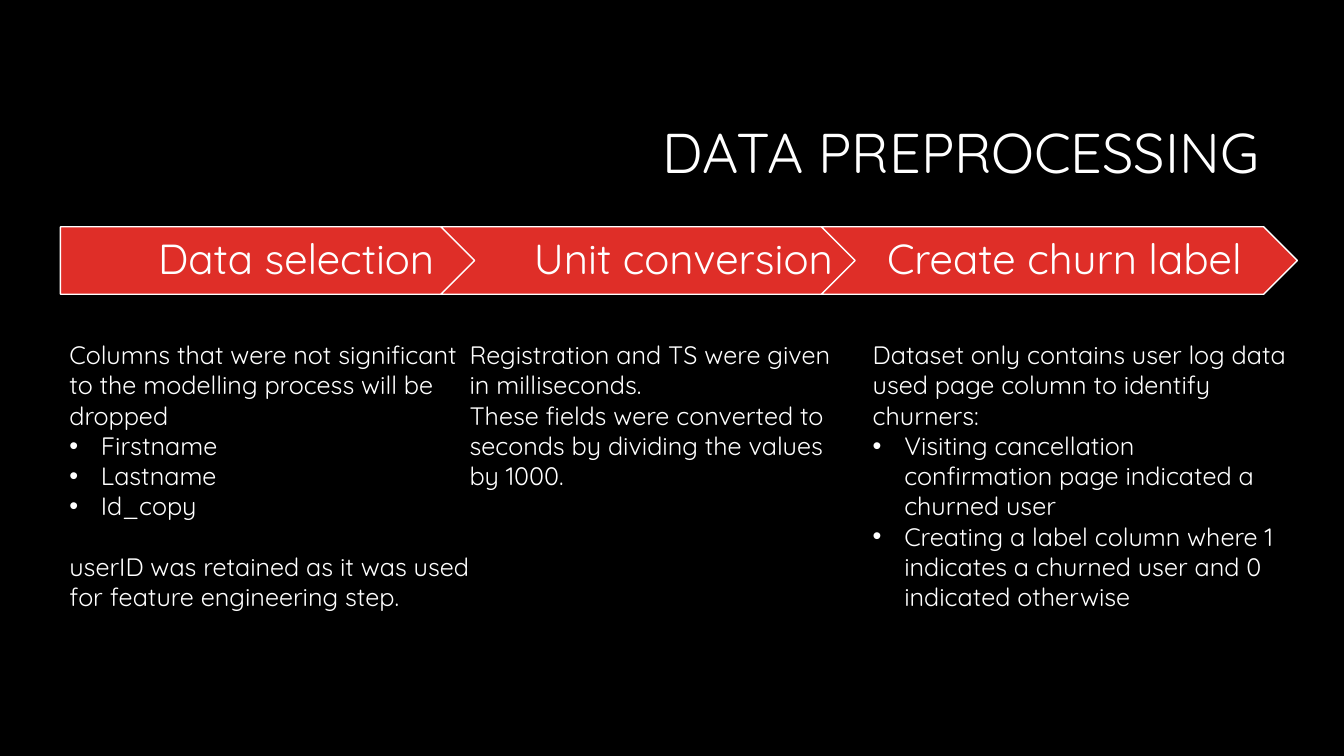
from dataclasses import dataclass

from pptx import Presentation
from pptx.dml.color import RGBColor
from pptx.enum import shapes, text
from pptx.oxml.ns import qn
from pptx.util import Pt
from lxml import etree

COLORS = {"background": "000000", "step": "DF2E28", "ink": "FFFFFF"}
FONT = "Quicksand"
BULLET_INDENT = 22.5
BLANK_LINE = 21.6

# Process arrows: equal widths at an equal pitch
ARROW_LEFT, ARROW_TOP, ARROW_PITCH = 43.2, 162, 271.8
ARROW_WIDTH, ARROW_HEIGHT = 340, 48.2


@dataclass
class Line:
    words: str
    bullet: bool = False
    space_before: float = 0


@dataclass
class Step:
    name: str
    name_left: float
    name_width: float
    name_inset: float
    detail_left: float
    detail_width: float
    detail_height: float
    details: list[Line]
    arrow: int = shapes.MSO_SHAPE.CHEVRON


STEPS = [
    Step("Data selection", 43.2, 327.6, 12.2, 42.5, 304.6, 225.4, [
        Line("Columns that were not significant to the modelling process will be dropped"),
        Line("Firstname", bullet=True),
        Line("Lastname", bullet=True),
        Line("Id_copy", bullet=True),
        Line("userID was retained as it was used for feature engineering step.",
             space_before=BLANK_LINE),
    ], shapes.MSO_SHAPE.PENTAGON),
    Step("Unit conversion", 339.1, 291.6, 9.4, 328.3, 288, 116.6, [
        Line("Registration and TS were given in milliseconds."),
        Line("These fields were converted to seconds by dividing the values by 1000."),
    ]),
    Step("Create churn label", 611.3, 291.6, 9.4, 616.3, 311, 203.8, [
        Line("Dataset only contains user log data used page column to identify churners:"),
        Line("Visiting cancellation confirmation page indicated a churned user", bullet=True),
        Line("Creating a label column where 1 indicates a churned user and 0 indicated otherwise",
             bullet=True),
    ]),
]


def color(name: str) -> RGBColor:
    return RGBColor.from_string(COLORS[name])


def add_text(slide, left: float, top: float, width: float, height: float,
             lines: list[Line], size: float, align=text.PP_ALIGN.LEFT,
             anchor=text.MSO_ANCHOR.TOP, spacing: float = 1.0):
    frame = slide.shapes.add_textbox(Pt(left), Pt(top), Pt(width), Pt(height)).text_frame
    frame.word_wrap = True
    frame.vertical_anchor = anchor
    frame.text = "\n".join(line.words for line in lines)
    for paragraph, line in zip(frame.paragraphs, lines):
        paragraph.alignment = align
        paragraph.line_spacing = spacing
        paragraph.space_before = Pt(line.space_before)
        if line.bullet:
            add_bullet(paragraph)
        for run in paragraph.runs:
            run.font.name = FONT
            run.font.size = Pt(size)
            run.font.color.rgb = color("ink")
    return frame


def add_bullet(paragraph) -> None:
    properties = paragraph._p.get_or_add_pPr()
    properties.set("marL", str(Pt(BULLET_INDENT)))
    properties.set("indent", str(-Pt(BULLET_INDENT)))
    etree.SubElement(properties, qn("a:buFont")).set("typeface", "Arial")
    etree.SubElement(properties, qn("a:buChar")).set("char", "•")


def add_step(slide, index: int, step: Step) -> None:
    # Arrow
    arrow = slide.shapes.add_shape(
        step.arrow, Pt(ARROW_LEFT + index * ARROW_PITCH), Pt(ARROW_TOP),
        Pt(ARROW_WIDTH), Pt(ARROW_HEIGHT))
    arrow.shadow.inherit = False
    arrow.fill.solid()
    arrow.fill.fore_color.rgb = color("step")
    arrow.line.color.rgb = color("ink")
    arrow.line.width = Pt(1)

    # Step name on the arrow
    name = add_text(slide, step.name_left, ARROW_TOP, step.name_width, ARROW_HEIGHT,
                    [Line(step.name)], 30, text.PP_ALIGN.CENTER,
                    text.MSO_ANCHOR.MIDDLE, 0.9)
    name.margin_left, name.margin_right = Pt(step.name_inset), Pt(2.9)
    name.margin_top = name.margin_bottom = Pt(6.5)

    # Details under the arrow
    add_text(slide, step.detail_left, 239, step.detail_width, step.detail_height,
             step.details, 18)


def main() -> None:
    deck = Presentation()
    deck.slide_width, deck.slide_height = Pt(960), Pt(540)
    slide = deck.slides.add_slide(deck.slide_layouts[6])
    slide.background.fill.solid()
    slide.background.fill.fore_color.rgb = color("background")

    # Title
    add_text(slide, 228.2, 60.5, 678.2, 101.5, [Line("DATA PREPROCESSING")], 40,
             text.PP_ALIGN.RIGHT, text.MSO_ANCHOR.MIDDLE, 0.9)

    # Process steps
    for index, step in enumerate(STEPS):
        add_step(slide, index, step)

    deck.save("out.pptx")


if __name__ == "__main__":
    main()
